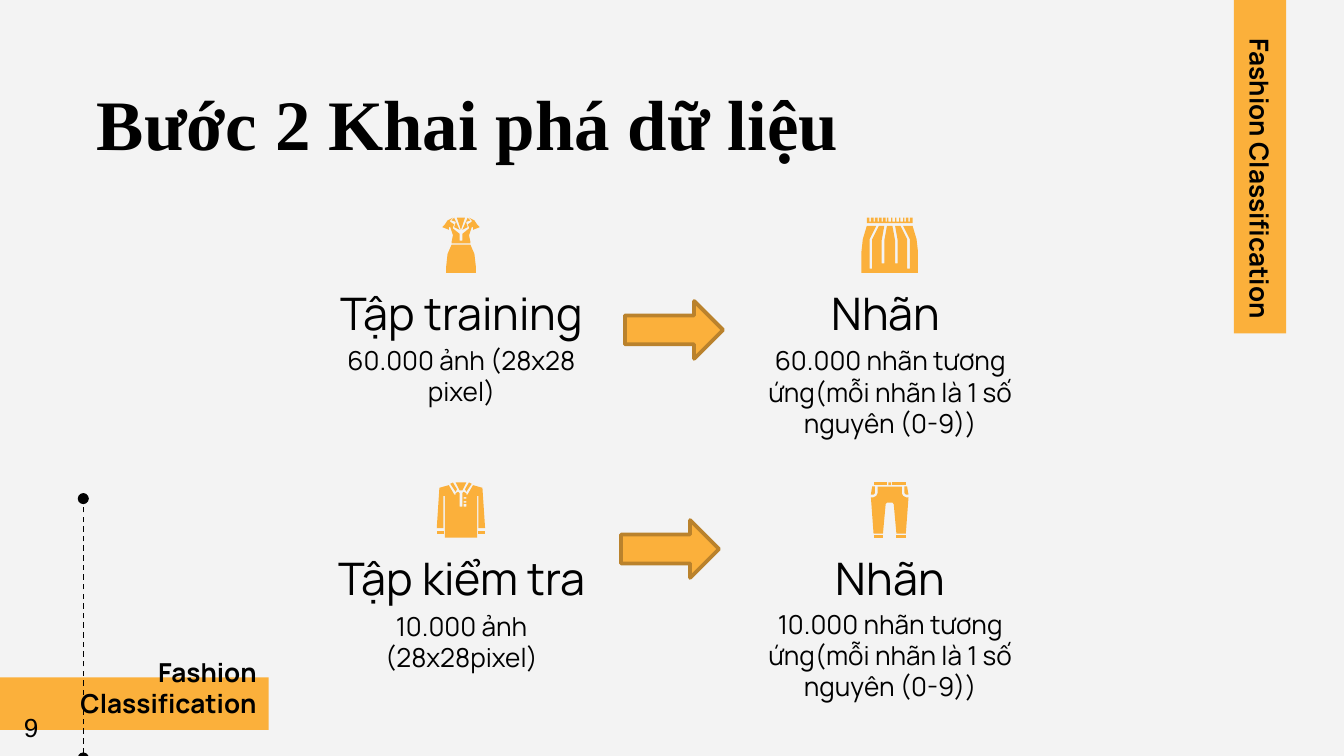
"""Builds the data exploration slide: image sets on the left, their labels on the right."""
from lxml import etree
from pptx import Presentation
from pptx.dml.color import RGBColor
from pptx.enum.dml import MSO_LINE
from pptx.enum.shapes import MSO_CONNECTOR, MSO_SHAPE
from pptx.enum.text import MSO_ANCHOR, MSO_AUTO_SIZE, PP_ALIGN
from pptx.oxml.ns import qn
from pptx.util import Inches, Pt

DASH = MSO_LINE.DASH
STRAIGHT = MSO_CONNECTOR.STRAIGHT
RECTANGLE, RIGHT_ARROW = MSO_SHAPE.RECTANGLE, MSO_SHAPE.RIGHT_ARROW
TOP, MIDDLE = MSO_ANCHOR.TOP, MSO_ANCHOR.MIDDLE
NO_FIT = MSO_AUTO_SIZE.NONE
LEFT, CENTER, RIGHT = PP_ALIGN.LEFT, PP_ALIGN.CENTER, PP_ALIGN.RIGHT

BLACK = RGBColor(0x00, 0x00, 0x00)
PAPER = RGBColor(0xF3, 0xF3, 0xF3)
AMBER = RGBColor(0xFB, 0xB0, 0x3B)
BRONZE = RGBColor(0xBA, 0x82, 0x2C)

TITLE_ONLY = 5
COLUMNS, ROWS = 100, 56.25
CELL = Inches(0.1)
ICON_UNIT = CELL / 10
TOPIC = "Fashion Classification"


def mirror(points, width):
    """Reflect points across the vertical axis of an icon."""
    return [(width - x, y) for x, y in reversed(points)]


def box_points(left, top, right, bottom):
    """Return the corners of an upright rectangle."""
    return [(left, top), (left, bottom), (right, bottom), (right, top)]


def icon(width, halves, pairs=(), holes=()):
    """Return the pieces of a symmetric icon; holes are cut in the first piece."""
    pieces = [[half + mirror(half, width)] for half in halves]
    pieces[0] += holes
    for piece in pairs:
        pieces += [[piece], [mirror(piece, width)]]
    return pieces


def skirt_icon():
    """Return a pleated skirt with a comb-like waistband."""
    band = [(4, 4), (4, 0)]
    for slit in range(11):
        x = 6 + 2.9 * slit
        band += [(x, 0), (x, 3), (x + 1.4, 3), (x + 1.4, 0)]
    band += [(38, 0), (38, 4)]
    panel = [(21, 6), (19, 6), (17, 17), (17, 34), (15, 34), (15, 17), (17, 6),
             (13, 6), (8, 16), (8, 38), (6, 38), (6, 16), (11, 6), (4, 6),
             (1, 16), (0, 25), (0, 41), (21, 41)]
    return icon(42, [panel]) + [[band]]


DRESS = icon(
    28,
    [[(14, 17), (13, 17), (13, 12), (8, 8), (8, 7), (9, 5), (6, 3), (6, 2), (8, 0),
      (4, 2), (2, 5), (0, 7), (5, 9), (5, 7), (6, 7), (8, 13), (7, 18), (7, 19), (14, 19)],
     [(14, 20), (7, 20), (4, 27), (3, 36), (3, 41), (14, 41)],
     [(14, 0), (11, 0), (14, 9)]],
    [[(9, 0), (7, 2), (10, 3), (10, 4), (9, 7), (13, 9)]])
SHIRT = icon(
    36,
    [[(18, 18), (17, 18), (17, 8), (16, 7), (14, 8), (14, 9), (13, 9), (9, 2), (2, 4),
      (0, 34), (5, 34), (5, 10), (6, 10), (6, 41), (18, 41)],
     [(18, 0), (14, 0), (17, 6), (18, 6)]],
    [box_points(0, 36, 5, 37.5), [(12, 0), (10, 1), (14, 7), (15, 5)]],
    [box_points(20, y, 22, y + 1.5) for y in (11, 13.5, 16)])
TROUSERS = icon(
    28,
    [[(14, 3), (5, 3), (5, 8), (4, 10), (2, 11), (0, 11), (2, 38), (9, 38), (11, 16),
      (12, 15), (14, 15)],
     [(14, 0), (13, 0), (13, 1.5), (14, 1.5)]],
    [box_points(2, 39, 9, 41), box_points(2, 0, 12, 1.5),
     [(1, 3), (0, 9), (2, 9), (3, 8), (3, 3)]])


class Deck:
    """Holds the style and the current page; lengths are grid columns and rows."""

    def __init__(self):
        """Open a blank deck with one titled page."""
        self.deck = Presentation()
        self.deck.slide_width = int(COLUMNS * CELL)
        self.deck.slide_height = int(ROWS * CELL)
        self.page = self.deck.slides.add_slide(self.deck.slide_layouts[TITLE_ONLY])
        self.page.background.fill.solid()
        self.page.background.fill.fore_color.rgb = PAPER

    def grid(self, *lengths):
        """Convert grid lengths to slide units."""
        return [int(length * CELL) for length in lengths]

    def fill_text(self, box, text, size, font="Manrope", bold=False, align=CENTER, anchor=MIDDLE):
        """Put one styled paragraph in a box."""
        frame = box.text_frame
        frame.word_wrap, frame.auto_size, frame.vertical_anchor = True, NO_FIT, anchor
        frame.margin_left = frame.margin_right = CELL
        frame.margin_top = frame.margin_bottom = CELL
        para = frame.paragraphs[0]
        para.text, para.alignment = text, align
        para.font.name, para.font.size, para.font.bold = font, Pt(size), bold
        para.font.color.rgb = BLACK

    def title(self, text, place):
        """Move and format the title placeholder."""
        box = self.page.shapes.title
        box.left, box.top, box.width, box.height = self.grid(*place)
        self.fill_text(box, text, 38, "Times New Roman", True, LEFT, TOP)

    def text(self, text, place, size=14, turn=0, **style):
        """Add a text box."""
        box = self.page.shapes.add_textbox(*self.grid(*place))
        box.rotation = turn
        self.fill_text(box, text, size, **style)

    def shape(self, kind, place, turn=0, outline=None):
        """Add an amber preset shape."""
        shape = self.page.shapes.add_shape(kind, *self.grid(*place))
        shape.rotation = turn
        shape.shadow.inherit = False
        shape.fill.solid()
        shape.fill.fore_color.rgb = AMBER
        if outline is None:
            shape.line.fill.background()
        else:
            shape.line.color.rgb, shape.line.width = outline, Pt(2)

    def dotted_end_line(self, *ends):
        """Add a dashed line with a dot at both ends."""
        line = self.page.shapes.add_connector(STRAIGHT, *self.grid(*ends))
        line.line.color.rgb, line.line.width = BLACK, Pt(0.75)
        line.line.dash_style = DASH
        properties = line._element.spPr
        for end in ("a:headEnd", "a:tailEnd"):
            etree.SubElement(properties.find(qn("a:ln")), qn(end), type="oval")
        etree.SubElement(properties, qn("a:effectLst"))

    def icon(self, pieces, left, top):
        """Draw icon pieces as a group of amber outlines."""
        group = self.page.shapes.add_group_shape()
        for first, *holes in pieces:
            builder = group.shapes.build_freeform(*first[0], scale=ICON_UNIT)
            builder.add_line_segments(first[1:])
            for hole in holes:
                builder.move_to(*hole[0])
                builder.add_line_segments(hole[1:])
            outline = builder.convert_to_shape(*self.grid(left, top))
            outline.shadow.inherit = False
            outline.fill.solid()
            outline.fill.fore_color.rgb = AMBER
            outline.line.fill.background()


def main():
    """Lay out the page and save it."""
    deck = Deck()
    deck.shape(RECTANGLE, (-0.5, 50.4, 20.5, 3.9))
    deck.dotted_end_line(6.2, 56.4, 6.2, 37.1)
    deck.shape(RECTANGLE, (80.8, 9.9, 25.9, 3.9), turn=90)
    deck.title("Bước 2 Khai phá dữ liệu", (6.2, 4.9, 87.5, 6.3))

    left, right, width = 23.5, 55.4, 21.7
    cards = [
        (left, 21.1, "Tập training", "60.000 ảnh (28x28 pixel)", 25.3, 5.3),
        (right, 21.1, "Nhãn ", "60.000 nhãn tương ứng(mỗi nhãn là 1 số nguyên (0-9))", 25.3, 7.7),
        (left, 40.8, "Tập kiểm tra", "10.000 ảnh (28x28pixel)", 45.1, 5.3),
        (right, 40.8, "Nhãn", "10.000 nhãn tương ứng(mỗi nhãn là 1 số nguyên (0-9))", 46.1, 5.3),
    ]
    for column, row, heading, detail, detail_row, height in cards:
        deck.text(heading, (column, row, width, 4.3), size=24)
        deck.text(detail, (column, detail_row, width, height))

    deck.icon(DRESS, 32.9, 16.2)
    deck.icon(skirt_icon(), 64.1, 16.2)
    deck.icon(SHIRT, 32.5, 35.9)
    deck.icon(TROUSERS, 64.8, 35.9)

    deck.text(TOPIC, (81.4, 10.4, 24.7, 3.9), turn=90, bold=True, align=RIGHT)
    deck.text(TOPIC, (-2.7, 49.2, 22.8, 3.9), bold=True, align=RIGHT)
    for column, row in ((46.5, 22.4), (46.2, 38.7)):
        deck.shape(RIGHT_ARROW, (column, row, 7.3, 4.3), outline=BRONZE)
    deck.text("9", (0.8, 52.4, 4.4, 3.4), font="Arial", align=LEFT)
    deck.deck.save("out.pptx")


if __name__ == "__main__":
    main()
